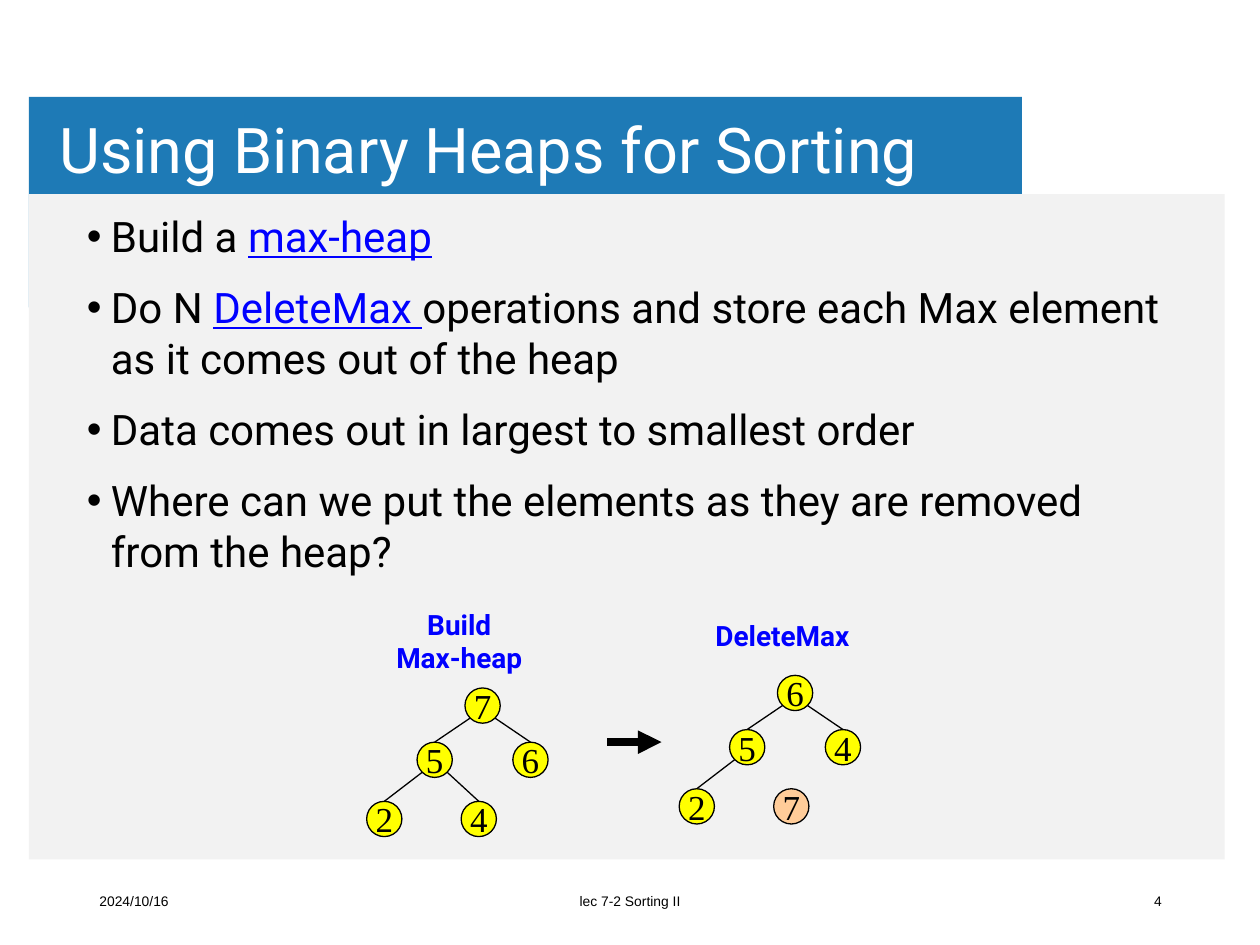
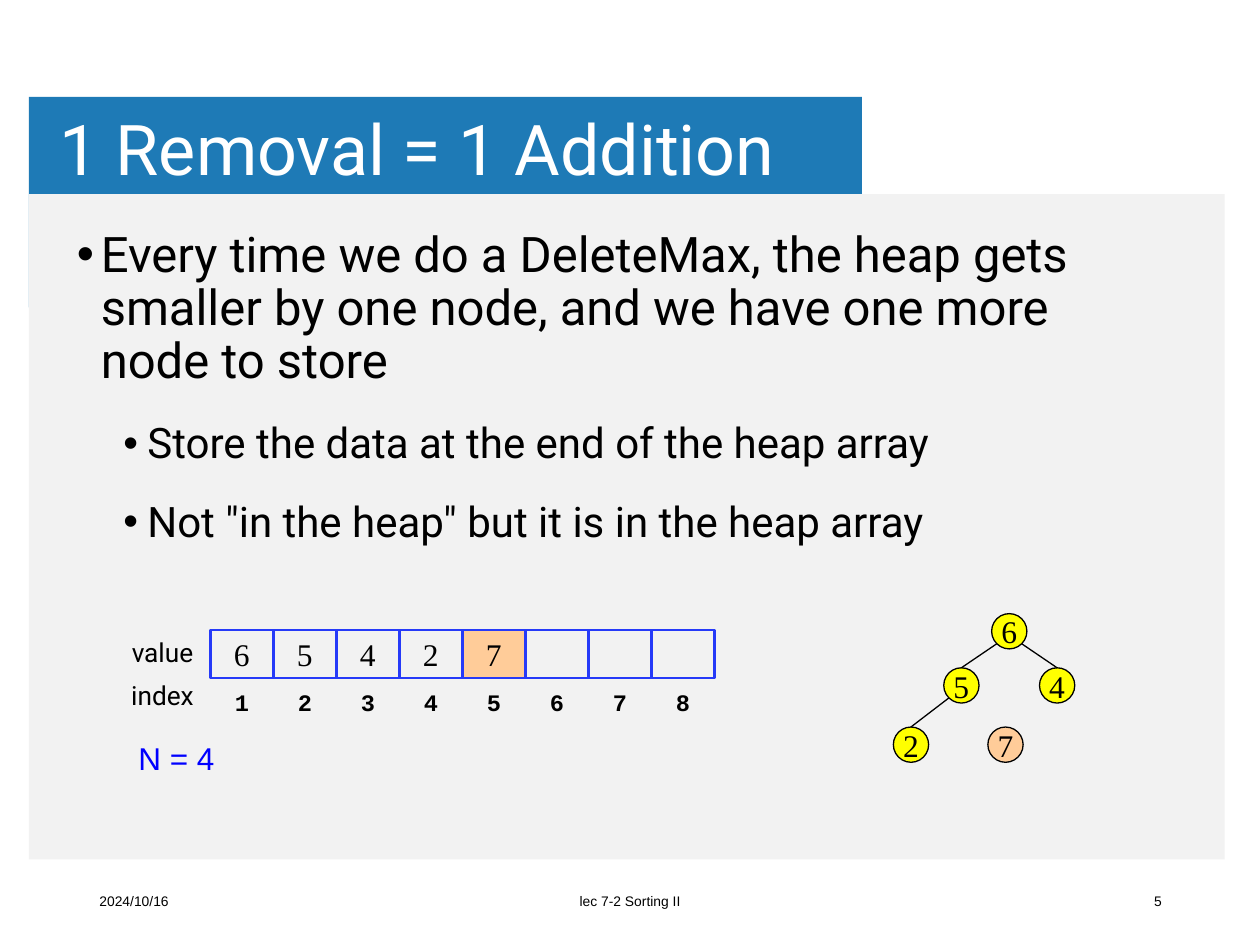
from dataclasses import dataclass

from lxml import etree
from pptx import Presentation
from pptx import util as u
from pptx.dml.color import RGBColor
from pptx.enum import shapes, text
from pptx.oxml.ns import qn

LEFT, CENTER, RIGHT = text.PP_ALIGN.LEFT, text.PP_ALIGN.CENTER, text.PP_ALIGN.RIGHT


@dataclass(frozen=True)
class Theme:
    # Colours
    band: str = "1E7AB6"
    panel: str = "F2F2F2"
    ink: str = "000000"
    paper: str = "FFFFFF"
    accent: str = "0000FF"
    cell_line: str = "263AF8"
    node: str = "FFFF00"
    removed: str = "FFCC99"
    # Fonts
    main: str = "Roboto"
    plain: str = "Arial"
    serif: str = "Times New Roman"
    mono: str = "Courier New"
    # Type sizes in points
    footer_size: float = 7.9
    index_size: float = 13.5
    label_size: float = 15
    caption_size: float = 16
    small_node_size: float = 18
    node_size: float = 20
    body_size: float = 24
    large_body_size: float = 28
    title_size: float = 36
    large_title_size: float = 40


THEME = Theme()

# Node offsets from the root in level order
NODE_SIZE = 0.28
NODE_OFFSETS = [(0, 0), (-0.38, 0.43), (0.38, 0.43), (-0.78, 0.9), (-0.03, 0.9)]


class SlideBuilder:
    def __init__(self, deck, theme):
        self.deck = deck
        self.theme = theme
        self.page = None

    def style(self, name, size, color=None, **extra):
        """Return the format values of one kind of text."""
        return {"name": name, "size": u.Pt(size),
                "color": color or self.theme.ink, **extra}

    def add_spans(self, para, line, style):
        """Add a line: a string or a list of (string, extra format) spans."""
        for words, extra in [(line, {})] if isinstance(line, str) else line:
            span = para.add_run()
            span.text = words
            for key, value in {**style, **extra}.items():
                if key == "color":
                    span.font.color.rgb = RGBColor.from_string(value)
                else:
                    setattr(span.font, key, value)

    def fill_frame(self, frame, lines, style, align=LEFT):
        for number, line in enumerate(lines):
            para = frame.add_paragraph() if number else frame.paragraphs[0]
            para.alignment = align
            self.add_spans(para, line, style)

    def set_frame(self, frame, anchor, wrap, inset=None):
        values = {"auto_size": text.MSO_AUTO_SIZE.NONE,
                  "vertical_anchor": anchor, "word_wrap": wrap}
        if inset is not None:
            across, down = u.Inches(inset[0]), u.Inches(inset[1])
            values.update(margin_left=across, margin_right=across,
                          margin_top=down, margin_bottom=down)
        for key, value in values.items():
            setattr(frame, key, value)

    def place(self, shape, at):
        for key, value in zip(("left", "top", "width", "height"), at):
            setattr(shape, key, u.Inches(value))

    def shape(self, kind, at, fill=None, line=None, weight=0.75):
        shape = self.page.shapes.add_shape(kind, *map(u.Inches, at))
        shape.shadow.inherit = False
        if fill:
            shape.fill.solid()
            shape.fill.fore_color.rgb = RGBColor.from_string(fill)
        else:
            shape.fill.background()
        if line:
            shape.line.color.rgb = RGBColor.from_string(line)
            shape.line.width = u.Pt(weight)
        else:
            shape.line.fill.background()
        return shape

    def labelled_shape(self, kind, at, words, style, **look):
        shape = self.shape(kind, at, **look)
        self.set_frame(shape.text_frame, text.MSO_ANCHOR.MIDDLE, False, (0, 0))
        if words:
            self.fill_frame(shape.text_frame, [words], style, CENTER)

    def text(self, at, lines, style, align=LEFT, anchor=text.MSO_ANCHOR.MIDDLE, wrap=False):
        box = self.page.shapes.add_textbox(*map(u.Inches, at))
        self.set_frame(box.text_frame, anchor, wrap)
        self.fill_frame(box.text_frame, lines, style, align)

    def line(self, start, end, weight=0.75, arrow=False):
        line = self.page.shapes.add_connector(
            shapes.MSO_CONNECTOR.STRAIGHT, *map(u.Inches, (*start, *end)))
        line.line.color.rgb = RGBColor.from_string(self.theme.ink)
        line.line.width = u.Pt(weight)
        props = line._element.spPr
        if arrow:
            etree.SubElement(props.find(qn("a:ln")), qn("a:tailEnd"), type="triangle")
        etree.SubElement(props, qn("a:effectLst"))

    def start_page(self, number, title, title_size, title_width, band_width):
        """Add a page with its bands, title and footer."""
        theme = self.theme
        self.page = self.deck.slides.add_slide(self.deck.slide_layouts[1])

        # Bands, behind the placeholders
        rectangle = shapes.MSO_SHAPE.RECTANGLE
        bands = [self.shape(rectangle, (0.23, 0.77, band_width, 1.67), theme.band),
                 self.shape(rectangle, (0.23, 1.54, 9.49, 5.28), theme.panel)]
        for depth, band in enumerate(bands, start=2):
            self.page.shapes._spTree.insert(depth, band._element)

        # Title
        heading = self.page.shapes.title
        self.place(heading, (0.4, 0.82, title_width, 0.79))
        self.set_frame(heading.text_frame, text.MSO_ANCHOR.MIDDLE, True, (0.07, 0.04))
        self.fill_frame(heading.text_frame, [title],
                        self.style(theme.main, title_size, theme.paper))
        heading.text_frame.paragraphs[0].line_spacing = 0.9

        # Footer
        footer_style = self.style(theme.plain, theme.footer_size)
        for left, width, words, align in [(0.69, 2.25, "2024/10/16", LEFT),
                                          (3.31, 3.38, "lec 7-2 Sorting II", CENTER),
                                          (7.07, 2.25, str(number), RIGHT)]:
            self.text((left, 6.95, width, 0.4), [words], footer_style, align, wrap=True)

    def bullets(self, at, items, space, line_spacing=1.0):
        """Fill the body placeholder from (level, size, line) items."""
        body = self.page.placeholders[1]
        self.place(body, at)
        frame = body.text_frame
        self.set_frame(frame, text.MSO_ANCHOR.TOP, True)
        for number, (level, size, line) in enumerate(items):
            para = frame.add_paragraph() if number else frame.paragraphs[0]
            para.level = level
            props = para._p.get_or_add_pPr()
            props.set("marL", str(u.Inches((0.19, 0.56)[level])))
            props.set("indent", str(u.Inches(-0.19)))
            etree.SubElement(props, qn("a:buFont"), typeface=self.theme.plain)
            etree.SubElement(props, qn("a:buChar"), char="•")
            para.line_spacing = line_spacing
            para.space_before = u.Pt(space if number else 0)
            self.add_spans(para, line, self.style(self.theme.main, size))

    def heap(self, root, values, count, size):
        """Draw a binary heap; values from index count on are removed nodes."""
        corners = [(root[0] + x, root[1] + y) for x, y in NODE_OFFSETS]
        for index, (value, (left, top)) in enumerate(zip(values, corners)):
            in_heap = index < count
            self.labelled_shape(shapes.MSO_SHAPE.OVAL, (left, top, NODE_SIZE, NODE_SIZE),
                                str(value), self.style(self.theme.serif, size),
                                fill=self.theme.node if in_heap else self.theme.removed,
                                line=self.theme.ink)
            if index and in_heap:
                parent = corners[(index - 1) // 2]
                side = 0.04 if index % 2 else 0.24
                self.line((parent[0] + side, parent[1] + 0.24), (left + NODE_SIZE / 2, top))

    def array(self, left, top, values, length, count):
        """Draw the heap array with its one-based indexes below."""
        theme, width, height = self.theme, 0.5, 0.38
        for index in range(length):
            x = left + index * width
            stored = index < len(values)
            self.labelled_shape(shapes.MSO_SHAPE.RECTANGLE, (x, top, width, height),
                                str(values[index]) if stored else "",
                                self.style(theme.serif, theme.small_node_size),
                                fill=theme.removed if stored and index >= count else None,
                                line=theme.cell_line, weight=1.5)
            self.text((x, top + height, width, height), [str(index + 1)],
                      self.style(theme.mono, theme.index_size, bold=True), CENTER)


def build_sorting_page(builder):
    theme = builder.theme
    builder.start_page(4, "Using Binary Heaps for Sorting", theme.title_size, 8.63, 7.88)
    term = {"color": theme.accent, "underline": True}
    lines = [
        [("Build a ", {}), ("max-heap", term)],
        [("Do N ", {}), ("DeleteMax ", term),
         ("operations and store each Max element as it comes out of the heap", {})],
        "Data comes out in largest to smallest order",
        "Where can we put the elements as they are removed from the heap?",
    ]
    builder.bullets((0.59, 1.62, 8.83, 3.29),
                    [(0, theme.body_size, line) for line in lines], space=12)

    # Heap before and after one removal
    caption = builder.style(theme.main, theme.caption_size, theme.accent, bold=True)
    top = text.MSO_ANCHOR.TOP
    builder.line((4.82, 5.89), (5.25, 5.89), weight=4.5, arrow=True)
    builder.text((3.03, 4.77, 1.23, 0.64), ["Build", "Max-heap"], caption, CENTER, top)
    builder.text((5.58, 4.86, 1.31, 0.37), ["DeleteMax"], caption, LEFT, top)
    builder.heap((3.69, 5.46), [7, 5, 6, 2, 4], 5, theme.node_size)
    builder.heap((6.17, 5.36), [6, 5, 4, 2, 7], 4, theme.node_size)


def build_removal_page(builder):
    theme = builder.theme
    builder.start_page(5, "1 Removal = 1 Addition", theme.large_title_size, 7.51, 6.61)
    builder.bullets((0.51, 1.78, 8.84, 2.29), [
        (0, theme.large_body_size, "Every time we do a DeleteMax, the heap gets smaller "
                                   "by one node, and we have one more node to store"),
        (1, theme.body_size, "Store the data at the end of the heap array"),
        (1, theme.body_size, 'Not "in the heap" but it is in the heap array'),
    ], space=19, line_spacing=0.9)

    # Array and the matching heap
    values, count = [6, 5, 4, 2, 7], 4
    builder.text((1, 5.82, 0.8, 0.4), [f"N = {count}"],
                 builder.style(theme.plain, theme.small_node_size, theme.accent),
                 anchor=text.MSO_ANCHOR.TOP)
    for top, words in [(5, "value"), (5.34, "index")]:
        builder.text((0.92, top, 0.74, 0.35), [words],
                     builder.style(theme.main, theme.label_size), CENTER)
    builder.array(1.67, 5, values, 8, count)
    builder.heap((7.87, 4.87), values, count, theme.small_node_size)


def main():
    deck = Presentation()
    deck.slide_width, deck.slide_height = u.Inches(10), u.Inches(7.5)
    builder = SlideBuilder(deck, THEME)
    build_sorting_page(builder)
    build_removal_page(builder)
    deck.save("out.pptx")


if __name__ == "__main__":
    main()
